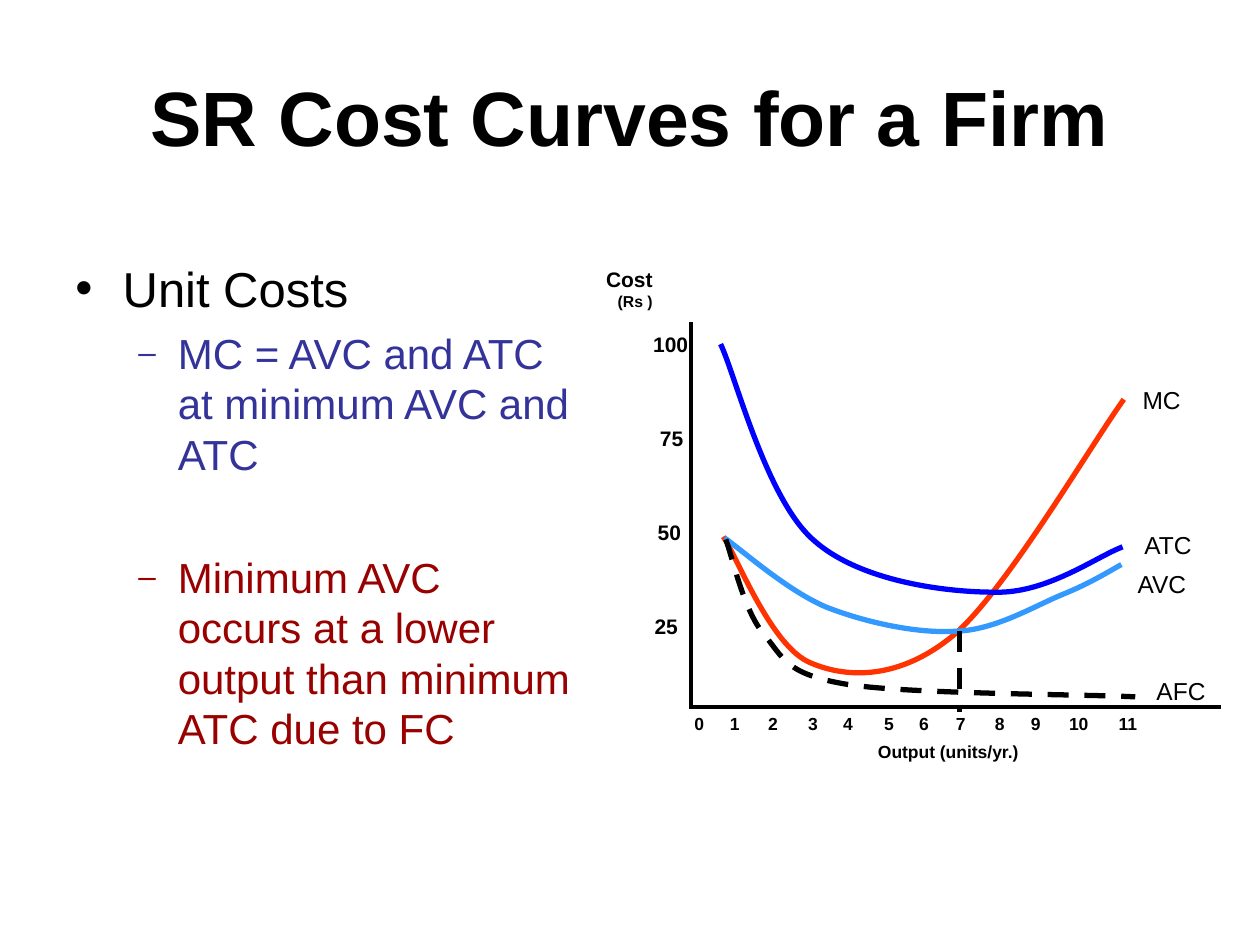
from lxml.etree import SubElement
from pptx import Presentation
from pptx.dml.color import RGBColor
from pptx.enum.dml import MSO_LINE_DASH_STYLE as DASH
from pptx.enum.shapes import MSO_CONNECTOR
from pptx.enum.text import MSO_ANCHOR, PP_ALIGN as ALIGN
from pptx.oxml.ns import qn
from pptx.util import Pt

BLACK = RGBColor(0x00, 0x00, 0x00)
INDIGO = RGBColor(0x33, 0x33, 0x99)
MAROON = RGBColor(0x99, 0x00, 0x00)
RED = RGBColor(0xFF, 0x33, 0x00)
SKY = RGBColor(0x33, 0x99, 0xFF)
BLUE = RGBColor(0x00, 0x00, 0xFF)
FONT = "Arial"

TITLE = "SR Cost Curves for a Firm"
# text, size, colour, bullet, bullet size %, left margin, hanging, space before
BULLETS = [
    ("Unit Costs", 28, BLACK, "•", 100, 27, 27, 0),
    ("MC = AVC and ATC at minimum AVC and ATC", 24, INDIGO, "–", 75, 58.5, 22.5, 6),
    ("Minimum AVC occurs at a lower output than minimum ATC due to FC",
     24, MAROON, "–", 75, 58.5, 22.5, 41.6),
]

COST_TICKS = [("100", 383.2), ("75", 383.8), ("50", 382.5), ("25", 380.7)]
COST_TOP, COST_STEP = 196.5, 53.7
OUTPUT_CENTRES = [399.6, 419.8, 441.7, 464.6, 484.6, 508,
                  528, 549, 571.3, 591.8, 616.4, 644.5]
OUTPUT_Y = 413
CURVE_LABELS = [("MC", 663.8, 228), ("ATC", 667.5, 310.8),
                ("AVC", 664, 333.4), ("AFC", 674.9, 394.4)]

# Bézier points: a start, then two handles and an end for each segment
CURVES = [
    (RED, None, [(413.3, 306.7), (421.2, 318.2), (440.6, 369.4), (463, 378.7),
                 (484.6, 388.1), (514.8, 388.1), (545, 362.9),
                 (574.6, 337.7), (622.1, 256.3), (642.2, 228.2)]),
    (SKY, None, [(414, 307.4), (423.4, 313.9), (450, 337.7), (472.3, 347),
                 (494.6, 355.7), (524.2, 362.2), (546.5, 360.7),
                 (568.8, 360), (591.1, 346.3), (607, 339.8),
                 (622.8, 333.4), (634.3, 326.2), (640.8, 322.6)]),
    (BLUE, None, [(411.8, 196.6), (420.5, 215.3), (437.8, 284.4), (464.4, 308.2),
                  (490.3, 331.9), (539.3, 338.4), (568.8, 338.4),
                  (598.3, 339.1), (626.4, 318.2), (641.5, 312.5)]),
    (BLACK, DASH.DASH, [(414.7, 308.2), (418.3, 317.5), (424.8, 348.5), (436.3, 362.2),
                        (447.8, 375.8), (448.6, 385.2), (483.8, 391),
                        (519.1, 396.7), (621.4, 396.7), (648.7, 398.2)]),
]
AXES = [(395, 184.3, 395, 403.9), (393.8, 403.9, 697.7, 403.9)]
MINIMUM_AVC = (548.2, 360.7, 548.2, 406.8)


def add_text_box(left, top, width, height, wrap=True, anchor=MSO_ANCHOR.TOP):
    frame = slide.shapes.add_textbox(Pt(left), Pt(top), Pt(width), Pt(height)).text_frame
    frame.word_wrap = wrap
    frame.vertical_anchor = anchor
    return frame


def write(paragraph, text, size, align=ALIGN.LEFT, bold=False, colour=BLACK):
    paragraph.alignment = align
    run = paragraph.add_run()
    run.text = text
    for name, value in {"name": FONT, "size": Pt(size), "bold": bold}.items():
        setattr(run.font, name, value)
    run.font.color.rgb = colour


def add_label(text, x, y, size, bold=True):
    """Centre one unwrapped line of text on the point x, y."""
    width, height = len(text) * size * 0.8 + 18, size * 1.15 + 7.2
    frame = add_text_box(x - width / 2, y - height / 2, width, height, wrap=False)
    write(frame.paragraphs[0], text, size, ALIGN.CENTER, bold)


def add_bullet(paragraph, mark, percent, colour, margin, hanging):
    properties = paragraph._p.get_or_add_pPr()
    properties.set("marL", str(Pt(margin)))
    properties.set("indent", str(-Pt(hanging)))
    fill = SubElement(properties, qn("a:buClr"))
    SubElement(fill, qn("a:srgbClr"), val=str(colour))
    SubElement(properties, qn("a:buSzPct"), val=str(percent * 1000))
    SubElement(properties, qn("a:buFont"), typeface=FONT)
    SubElement(properties, qn("a:buChar"), char=mark)


def style_line(line, colour, width, dash=None):
    line.color.rgb = colour
    line.width = Pt(width)
    if dash:
        line.dash_style = dash


def add_line(ends, width, dash=None):
    connector = slide.shapes.add_connector(MSO_CONNECTOR.STRAIGHT, *map(Pt, ends))
    style_line(connector.line, BLACK, width, dash)
    SubElement(connector._element.spPr, qn("a:effectLst"))


def add_curve(colour, dash, points):
    """Draw the points as a freeform, then join each three lines into one Bézier."""
    start, *rest = [(Pt(x), Pt(y)) for x, y in points]
    builder = slide.shapes.build_freeform(*start)
    builder.add_line_segments(rest, close=False)
    shape = builder.convert_to_shape()
    lines = list(shape._element.iter(qn("a:lnTo")))
    outline = lines[0].getparent()
    for first in range(0, len(lines), 3):
        segment = SubElement(outline, qn("a:cubicBezTo"))
        for line in lines[first:first + 3]:
            segment.append(line[0])
            outline.remove(line)
    shape.shadow.inherit = False
    shape.fill.background()
    style_line(shape.line, colour, 3, dash)


presentation = Presentation()
presentation.slide_width, presentation.slide_height = Pt(720), Pt(540)
slide = presentation.slides.add_slide(presentation.slide_layouts[6])

title = add_text_box(36, 21.6, 648, 74.2, anchor=MSO_ANCHOR.BOTTOM)
write(title.paragraphs[0], TITLE, 44, ALIGN.CENTER, bold=True)

body = add_text_box(36, 144, 300, 324)
for index, (text, size, colour, mark, percent, margin, hanging, before) in enumerate(BULLETS):
    paragraph = body.add_paragraph() if index else body.paragraphs[0]
    add_bullet(paragraph, mark, percent, colour, margin, hanging)
    paragraph.space_before = Pt(before)
    write(paragraph, text, size, colour=colour)

for axis in AXES:
    add_line(axis, 2)
add_label("Output (units/yr.)", 541.8, 429.4, 10)
cost = add_text_box(339.1, 148.6, 41, 43.2, wrap=False)
write(cost.paragraphs[0], "Cost", 12, ALIGN.RIGHT, bold=True)
write(cost.add_paragraph(), "(Rs )", 9, ALIGN.RIGHT, bold=True)

for row, (text, x) in enumerate(COST_TICKS):
    add_label(text, x, COST_TOP + row * COST_STEP, 12)
for output, x in enumerate(OUTPUT_CENTRES):
    add_label(str(output), x, OUTPUT_Y, 10)
for curve in CURVES:
    add_curve(*curve)
for text, x, y in CURVE_LABELS:
    add_label(text, x, y, 14, bold=False)
add_line(MINIMUM_AVC, 3, DASH.DASH)

presentation.save("out.pptx")
